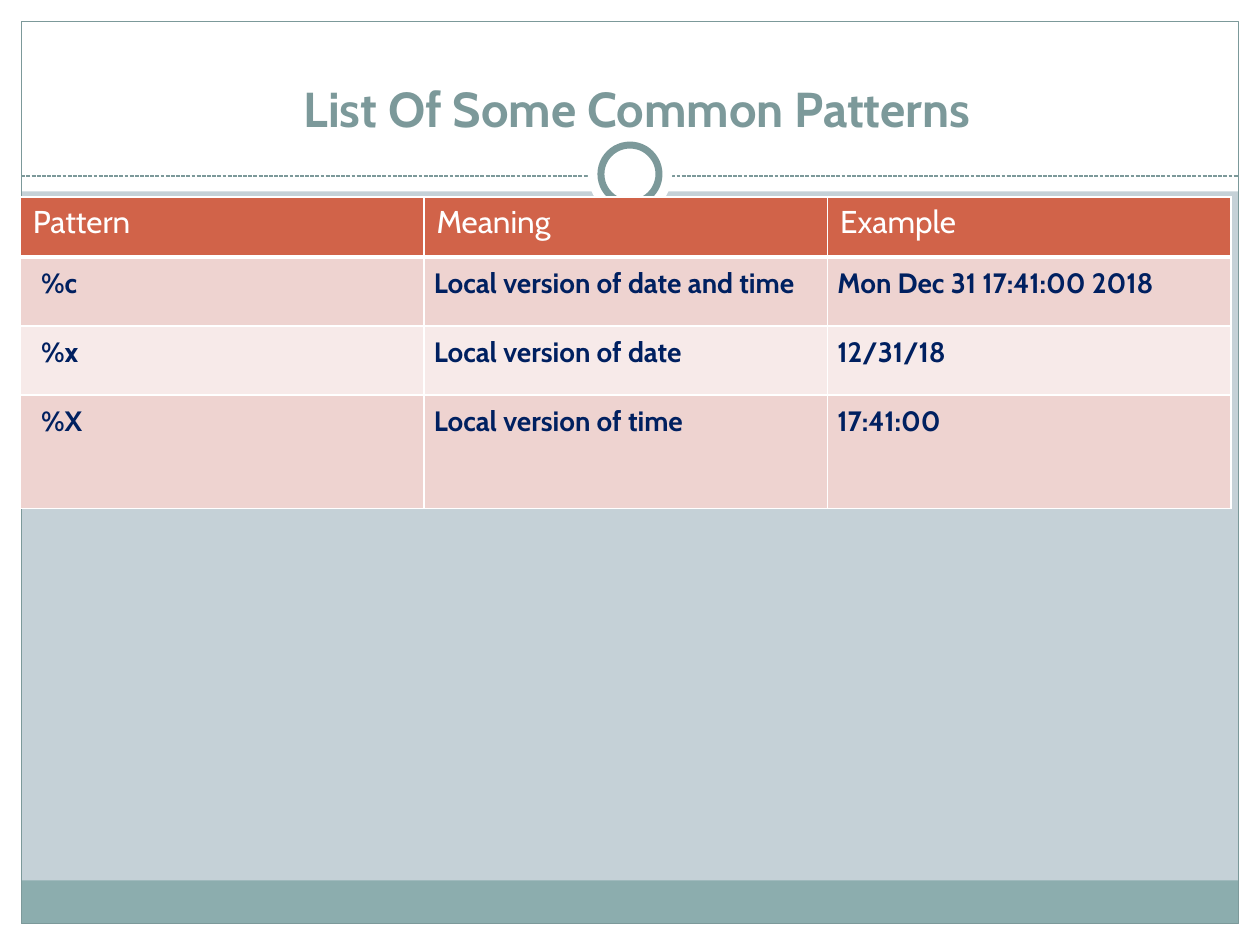
from lxml.etree import SubElement as Sub
from pptx import Presentation
from pptx.dml.color import RGBColor as RGB
from pptx.enum.dml import MSO_LINE as Dash
from pptx.enum.shapes import MSO_CONNECTOR as Link, MSO_SHAPE as Kind
from pptx.enum.text import MSO_ANCHOR as Anchor, PP_ALIGN as Align
from pptx.oxml.ns import qn
from pptx.util import Cm, Pt

TITLE = "List Of Some Common Patterns"
ROWS = [
    ("Pattern", "Meaning", "Example"),
    ("%c", "Local version of date and time", "Mon Dec 31 17:41:00 2018"),
    ("%x", "Local version of date", "12/31/18"),
    ("%X", "Local version of time", "17:41:00"),
]
HIGH = [1.21, 1.39, 1.39, 2.29]
THEME = {
    "font": "Cabin", "white": "FFFFFF", "back": "C5D1D7", "teal": "7C999A",
    "band": "8CADAE", "head": "D16349", "odd": "EED3D0", "even": "F7EAE9",
    "navy": "002060", "title": 28, "top": 18, "body": 16,
}
WIDE, TALL, EDGE = 25.4, 19.05, 0.43
MID, RULE = WIDE / 2, 3.55
PLATE, RING = 1.7, 1.17


def tint(name):
    return RGB.from_string(THEME[name])


def put(obj, vals):
    for key, val in vals.items():
        setattr(obj, key, val)


def style(para, size, color, bold):
    put(para.font, {"name": THEME["font"], "size": Pt(THEME[size]), "bold": bold})
    para.font.color.rgb = tint(color)


def paint(obj, name):
    obj.fill.solid()
    obj.fill.fore_color.rgb = tint(name)


def draw(kind, box, fill=None, line=None, width=0.75):
    shape = slide.shapes.add_shape(kind, *map(Cm, box))
    shape.shadow.inherit = False
    if fill:
        paint(shape, fill)
    else:
        shape.fill.background()
    if line:
        shape.line.color.rgb = tint(line)
        shape.line.width = Pt(width)
    else:
        shape.line.fill.background()


def disc(size, **look):
    draw(Kind.OVAL, (MID - size / 2, RULE - 0.04 - size / 2, size, size), **look)


def border(cell, widths):
    props = cell._tc.get_or_add_tcPr()
    for spot, (side, width) in enumerate(widths.items()):
        edge = props.makeelement(qn("a:ln" + side), {"w": str(Pt(width))})
        fill = Sub(edge, qn("a:solidFill"))
        Sub(fill, qn("a:srgbClr"), val=THEME["white"])
        props.insert(spot, edge)


deck = Presentation()
put(deck, {"slide_width": Cm(WIDE), "slide_height": Cm(TALL)})
slide = deck.slides.add_slide(deck.slide_layouts[5])
paint(slide.background, "back")

for box in [
    (0, TALL - EDGE, WIDE, EDGE),
    (0, 0, WIDE, 3.86),
    (0, 0, EDGE, TALL),
    (WIDE - EDGE, 0, EDGE, TALL),
]:
    draw(Kind.RECTANGLE, box, "white")
draw(Kind.RECTANGLE, (EDGE, 17.75, WIDE - 2 * EDGE, 0.87), "band")
draw(Kind.RECTANGLE, (EDGE, EDGE, WIDE - 2 * EDGE, TALL - 2 * EDGE), line="teal")

rule = slide.shapes.add_connector(
    Link.STRAIGHT, *map(Cm, (EDGE, RULE, WIDE - EDGE, RULE)))
put(rule.line, {"width": Pt(0.75), "dash_style": Dash.SQUARE_DOT})
rule.line.color.rgb = tint("teal")
Sub(rule._element.spPr, qn("a:effectLst"))

disc(PLATE, fill="white")
disc(RING, fill="white", line="teal", width=4)

title = slide.shapes.title
put(title, {"left": Cm(0.99), "top": Cm(0.79), "width": Cm(23.7), "height": Cm(2.11)})
put(title.text_frame, {"text": TITLE, "vertical_anchor": Anchor.BOTTOM, "word_wrap": True})
para = title.text_frame.paragraphs[0]
para.alignment = Align.CENTER
style(para, "title", "teal", True)
slide.shapes._spTree.append(title._element)

grid = slide.shapes.add_table(
    len(ROWS), len(ROWS[0]), Cm(0.41), Cm(3.97), Cm(24.41), Cm(sum(HIGH))).table
for r, (row, high) in enumerate(zip(ROWS, HIGH)):
    grid.rows[r].height = Cm(high)
    for c, text in enumerate(row):
        cell = grid.cell(r, c)
        cell.text = text
        para = cell.text_frame.paragraphs[0]
        if r == 0:
            style(para, "top", "white", False)
            paint(cell, "head")
        else:
            style(para, "body", "navy", True)
            paint(cell, "odd" if r % 2 else "even")
            put(cell, {
                "margin_left": Cm(0.2 if c else 0.42), "margin_right": Cm(0.2),
                "margin_top": Cm(0.2), "margin_bottom": Cm(0.2),
            })
        border(cell, {"L": 1, "R": 1, "T": 1, "B": 1 if r else 3})

deck.save("out.pptx")
